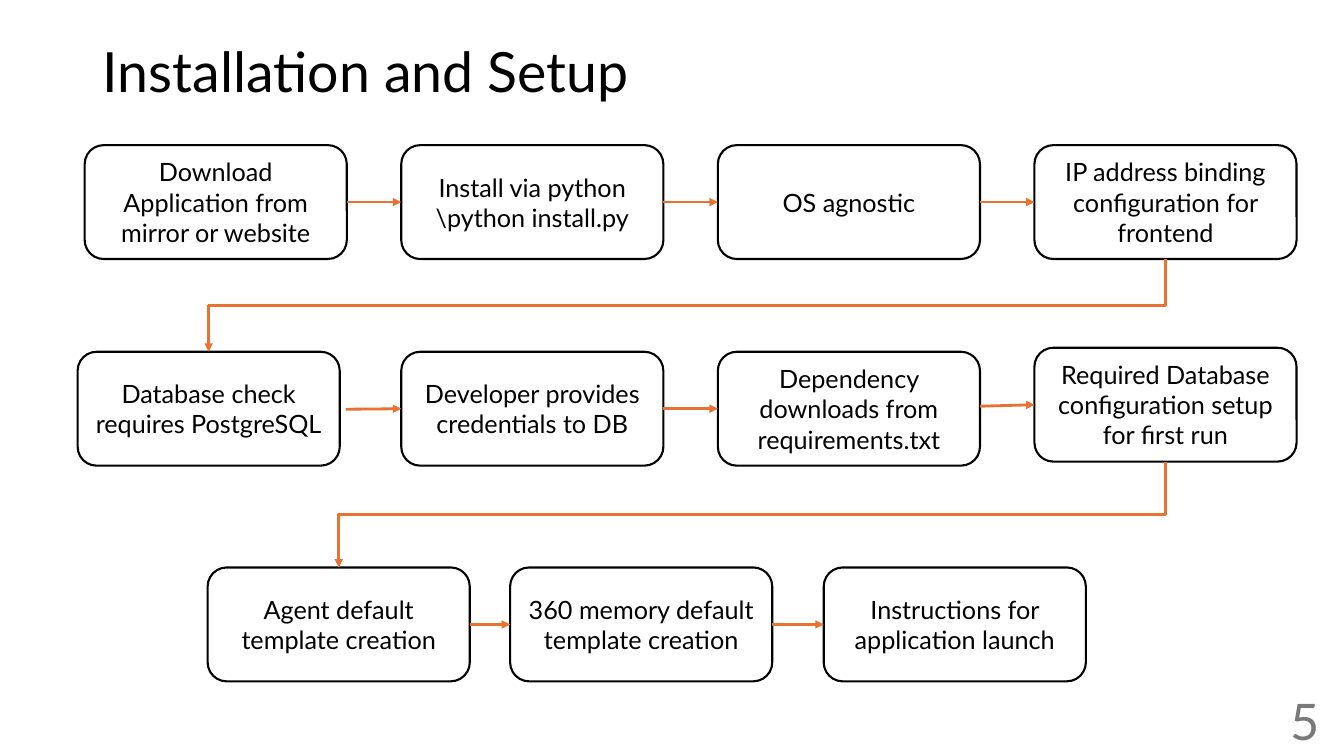
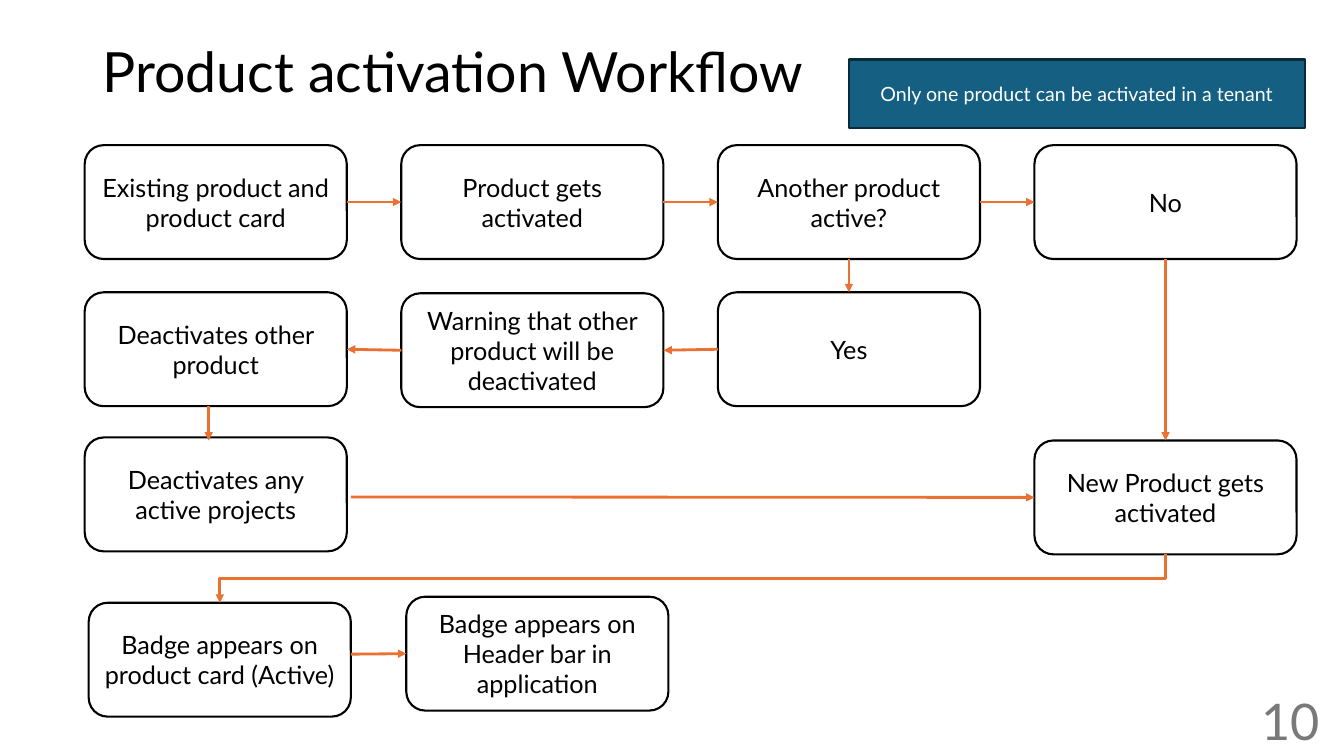
"""Build two flowchart slides on installation and product activation."""
from pptx import Presentation
from pptx.dml.color import RGBColor
from pptx.enum.shapes import MSO_CONNECTOR as Connector, MSO_SHAPE as Shape
from pptx.enum.text import MSO_ANCHOR as Anchor, PP_ALIGN as Align
from pptx.oxml.ns import qn
from pptx.oxml.xmlchemy import OxmlElement
from pptx.util import Inches, Pt

FONT = "Lato"
BLACK, WHITE, GREY = "000000", "FFFFFF", "797979"
ORANGE, BLUE, NAVY = "E97132", "156082", "092A39"
TOP, LEFT, BOTTOM, RIGHT = range(4)
BOX_WIDTH, BOX_HEIGHT = 2.6, 1.13
COLUMNS = [0.84 + 3.14 * column for column in range(4)]
FIRST_ROW = 1.44
TITLE_PLACE = (0.92, 0.4, 11.5, 0.68)
NUMBER_PLACE = (10.19, 6.95, 3, 0.4)

# box: (left, top, text); arrow: (start, side, end, side), or a free point with side None
SLIDES = [
    {
        "title": "Installation and Setup",
        "number": "5",
        "boxes": {
            "download": (COLUMNS[0], FIRST_ROW, "Download Application from mirror or website"),
            "install": (COLUMNS[1], FIRST_ROW, "Install via python\n\\python install.py"),
            "system": (COLUMNS[2], FIRST_ROW, "OS agnostic"),
            "address": (COLUMNS[3], FIRST_ROW, "IP address binding configuration for frontend"),
            "check": (0.77, 3.49, "Database check requires PostgreSQL"),
            "credentials": (COLUMNS[1], 3.49, "Developer provides credentials to DB"),
            "dependencies": (COLUMNS[2], 3.49, "Dependency downloads from requirements.txt"),
            "database": (COLUMNS[3], 3.45, "Required Database configuration setup for first run"),
            "agent": (2.06, 5.63, "Agent default template creation"),
            "memory": (5.06, 5.63, "360 memory default template creation"),
            "launch": (8.17, 5.63, "Instructions for application launch"),
        },
        "arrows": [
            ("download", RIGHT, "install", LEFT),
            ("install", RIGHT, "system", LEFT),
            ("system", RIGHT, "address", LEFT),
            ("address", BOTTOM, "check", TOP),
            ((3.43, 4.06), None, "credentials", LEFT),
            ("credentials", RIGHT, "dependencies", LEFT),
            ((9.72, 4.03), None, "database", LEFT),
            ("database", BOTTOM, "agent", TOP),
            ("agent", RIGHT, "memory", LEFT),
            ("memory", RIGHT, "launch", LEFT),
        ],
        "elbows": [("address", "check"), ("database", "agent")],
    },
    {
        "title": "Product activation Workflow",
        "number": "10",
        "note": (8.42, 0.59, 4.52, 0.68, "Only one product can be activated in a tenant"),
        "boxes": {
            "existing": (COLUMNS[0], FIRST_ROW, "Existing product and product card"),
            "activated": (COLUMNS[1], FIRST_ROW, "Product gets activated"),
            "question": (COLUMNS[2], FIRST_ROW, "Another product active?"),
            "no": (COLUMNS[3], FIRST_ROW, "No"),
            "other": (COLUMNS[0], 2.9, "Deactivates other product"),
            "warning": (COLUMNS[1], 2.91, "Warning that other product will be deactivated"),
            "yes": (COLUMNS[2], 2.9, "Yes"),
            "projects": (COLUMNS[0], 4.34, "Deactivates any active projects"),
            "new": (COLUMNS[3], 4.37, "New Product gets activated"),
            "card": (0.88, 5.98, "Badge appears on product card (Active)"),
            "header": (4.03, 5.92, "Badge appears on Header bar in application"),
        },
        "arrows": [
            ("existing", RIGHT, "activated", LEFT),
            ("activated", RIGHT, "question", LEFT),
            ("question", RIGHT, "no", LEFT),
            ("question", BOTTOM, "yes", TOP),
            ("no", BOTTOM, "new", TOP),
            ("yes", LEFT, "warning", RIGHT),
            ("warning", LEFT, "other", RIGHT),
            ((2.07, 4.03), None, (2.07, 4.37), None),
            ((3.48, 4.93), None, "new", LEFT),
            ("new", BOTTOM, "card", TOP),
            ((3.48, 6.49), None, "header", LEFT),
        ],
        "elbows": [("new", "card")],
    },
]


def color(value):
    return RGBColor.from_string(value)


def write(shape, text, size, ink, align, spacing=None):
    frame = shape.text_frame
    frame.word_wrap = True
    frame.vertical_anchor = Anchor.MIDDLE
    frame.text = text
    for paragraph in frame.paragraphs:
        paragraph.alignment = align
        paragraph.line_spacing = spacing
        for run in paragraph.runs:
            run.font.name = FONT
            run.font.size = Pt(size)
            run.font.color.rgb = color(ink)


def add_text(slide, place, *style):
    write(slide.shapes.add_textbox(*map(Inches, place)), *style)


def add_box(slide, kind, place, fill, line, text, size, ink):
    shape = slide.shapes.add_shape(kind, *map(Inches, place))
    shape.shadow.inherit = False
    shape.fill.solid()
    shape.fill.fore_color.rgb = color(fill)
    shape.line.color.rgb = color(line)
    shape.line.width = Pt(1.5)
    write(shape, text, size, ink, Align.CENTER)
    return shape


def turn_elbow(connector):
    """Make an elbow running down and to the left leave vertically."""
    across = connector.begin_x - connector.end_x
    down = connector.end_y - connector.begin_y
    middle_x = (connector.begin_x + connector.end_x) // 2
    middle_y = (connector.begin_y + connector.end_y) // 2
    transform = connector.element.spPr.find(qn("a:xfrm"))
    transform.attrib.pop("flipH", None)
    transform.set("rot", str(90 * 60000))
    connector.left, connector.top = middle_x - down // 2, middle_y - across // 2
    connector.width, connector.height = down, across


def add_arrow(slide, boxes, arrow, bent):
    start, start_side, end, end_side = arrow
    begin_point = start if start_side is None else (0, 0)
    end_point = end if end_side is None else (0, 0)
    kind = Connector.ELBOW if bent else Connector.STRAIGHT
    connector = slide.shapes.add_connector(kind, *map(Inches, begin_point + end_point))
    if start_side is not None:
        connector.begin_connect(boxes[start], start_side)
    if end_side is not None:
        connector.end_connect(boxes[end], end_side)
    if bent:
        turn_elbow(connector)
    connector.line.color.rgb = color(ORANGE)
    connector.line.width = Pt(2)
    head = OxmlElement("a:tailEnd")
    head.set("type", "triangle")
    properties = connector.element.spPr
    properties.find(qn("a:ln")).append(head)
    properties.append(OxmlElement("a:effectLst"))


def build_slide(presentation, content):
    slide = presentation.slides.add_slide(presentation.slide_layouts[6])
    add_text(slide, TITLE_PLACE, content["title"], 39.6, BLACK, Align.LEFT, 0.9)
    boxes = {
        name: add_box(slide, Shape.ROUNDED_RECTANGLE, (left, top, BOX_WIDTH, BOX_HEIGHT),
                      WHITE, BLACK, text, 18, BLACK)
        for name, (left, top, text) in content["boxes"].items()
    }
    for arrow in content["arrows"]:
        add_arrow(slide, boxes, arrow, (arrow[0], arrow[2]) in content["elbows"])
    if "note" in content:
        *place, text = content["note"]
        add_box(slide, Shape.RECTANGLE, place, BLUE, NAVY, text, 14, WHITE)
    add_text(slide, NUMBER_PLACE, content["number"], 36, GREY, Align.RIGHT)


def main():
    presentation = Presentation()
    presentation.slide_width = Inches(13.33)
    presentation.slide_height = Inches(7.5)
    for content in SLIDES:
        build_slide(presentation, content)
    presentation.save("out.pptx")


if __name__ == "__main__":
    main()
